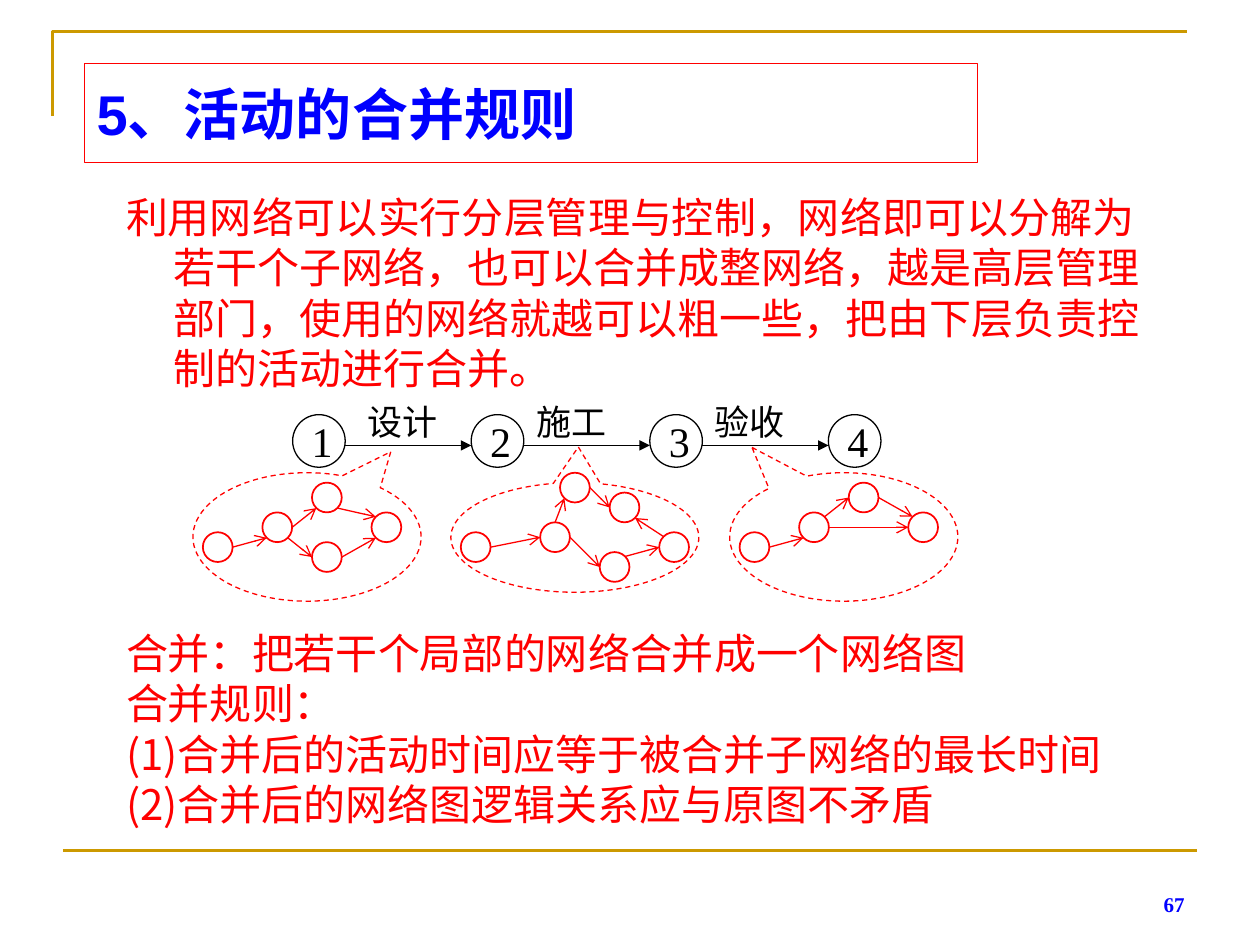
from dataclasses import dataclass

from lxml import etree
from pptx import Presentation
from pptx.dml.color import RGBColor
from pptx.enum.dml import MSO_LINE
from pptx.enum.shapes import MSO_CONNECTOR, MSO_SHAPE
from pptx.enum.text import MSO_ANCHOR, MSO_AUTO_SIZE, PP_ALIGN
from pptx.oxml.ns import qn
from pptx.util import Cm, Pt

OVAL = MSO_SHAPE.OVAL
CALLOUT = MSO_SHAPE.OVAL_CALLOUT
STRAIGHT = MSO_CONNECTOR.STRAIGHT
DASH = MSO_LINE.DASH
LEFT, RIGHT, CENTER = PP_ALIGN.LEFT, PP_ALIGN.RIGHT, PP_ALIGN.CENTER
TOP, MIDDLE, BOTTOM = MSO_ANCHOR.TOP, MSO_ANCHOR.MIDDLE, MSO_ANCHOR.BOTTOM
NO_FIT = MSO_AUTO_SIZE.NONE
TWO_CONTENT = 3


@dataclass(frozen=True)
class Theme:
    gold: RGBColor = RGBColor(0xCC, 0x99, 0x00)
    red: RGBColor = RGBColor(0xFF, 0x00, 0x00)
    blue: RGBColor = RGBColor(0x00, 0x00, 0xFF)
    black: RGBColor = RGBColor(0x00, 0x00, 0x00)
    white: RGBColor = RGBColor(0xFF, 0xFF, 0xFF)
    sans: str = "Arial"
    serif: str = "Times New Roman"
    chinese: str = "Noto Sans CJK SC"
    title: float = 32
    body: float = 24
    label: float = 20
    page: float = 12
    thin: float = 0.75
    ring: float = 1
    rule: float = 1.5


THEME = Theme()
NODE = 0.6
DIAGONAL = 0.3536
COMPASS = {
    "N": (0, -0.5), "E": (0.5, 0), "W": (-0.5, 0),
    "NE": (DIAGONAL, -DIAGONAL), "NW": (-DIAGONAL, -DIAGONAL),
    "SE": (DIAGONAL, DIAGONAL), "SW": (-DIAGONAL, DIAGONAL),
}

INTRO = ["利用网络可以实行分层管理与控制，网络即可以分解为若干个子网络，也可以合并成整网络，"
         "越是高层管理部门，使用的网络就越可以粗一些，把由下层负责控制的活动进行合并。"]
RULES = ["合并：把若干个局部的网络合并成一个网络图", "合并规则：",
         "(1)合并后的活动时间应等于被合并子网络的最长时间",
         "(2)合并后的网络图逻辑关系应与原图不矛盾"]
STAGES = [("设计", 1.26), ("施工", 1.06), ("验收", 1.06)]

SUBNETWORKS = [
    ((3.89, 9.53, 4.6, 2.59), (0.367, -0.663),
     {"start": (0.2, 1.2), "fork": (1.4, 0.8), "upper": (2.4, 0.2),
      "lower": (2.4, 1.4), "end": (3.6, 0.8)},
     ["start E fork SW", "fork E upper SW", "fork SE lower W",
      "upper SE end NW", "lower E end SW"]),
    ((9.09, 9.73, 5, 2.21), (0.014, -0.825),
     {"start": (0.2, 1), "fork": (1.8, 0.8), "upper": (2.2, -0.2),
      "merge": (3.2, 0.2), "lower": (3, 1.4), "end": (4.2, 1)},
     ["start E fork W", "fork N upper SW", "fork E lower W",
      "upper E merge W", "lower NE end W", "end NW merge SE"]),
    ((14.71, 9.53, 4.6, 2.59), (-0.402, -0.697),
     {"start": (0.2, 1.2), "fork": (1.4, 0.8), "upper": (2.4, 0.2), "end": (3.6, 0.8)},
     ["start E fork SW", "fork E end W", "fork NE upper W", "upper E end NW"]),
]


def write(frame, lines, *, size, color, font, bold=False, align=LEFT, anchor=TOP,
          wrap=True, insets=(0.25, 0.13, 0.25, 0.13), hanging=0, spacing=None):
    frame.auto_size = NO_FIT
    frame.word_wrap = wrap
    frame.vertical_anchor = anchor
    (frame.margin_left, frame.margin_top,
     frame.margin_right, frame.margin_bottom) = map(Cm, insets)
    for index, line in enumerate(lines):
        paragraph = frame.paragraphs[0] if index == 0 else frame.add_paragraph()
        paragraph.alignment = align
        paragraph.space_before = Pt(0)
        if spacing:
            paragraph.line_spacing = Pt(spacing)
        properties = paragraph._p.get_or_add_pPr()
        properties.set("marL", str(Cm(hanging)))
        properties.set("indent", str(-Cm(hanging)))
        etree.SubElement(properties, qn("a:buNone"))
        run = paragraph.add_run()
        run.text = line
        run.font.size = Pt(size)
        run.font.bold = bold
        run.font.color.rgb = color
        run.font.name = font
        east_asian = etree.SubElement(run._r.get_or_add_rPr(), qn("a:ea"))
        east_asian.set("typeface", THEME.chinese)


def place(shape, box):
    shape.left, shape.top, shape.width, shape.height = map(Cm, box)


def add_outline(slide, kind, box, color, width, fill=None):
    shape = slide.shapes.add_shape(kind, *map(Cm, box))
    shape.shadow.inherit = False
    if fill is None:
        shape.fill.background()
    else:
        shape.fill.solid()
        shape.fill.fore_color.rgb = fill
    shape.line.color.rgb = color
    shape.line.width = Pt(width)
    return shape


def add_line(slide, start, end, color, width, arrow=None):
    line = slide.shapes.add_connector(STRAIGHT, *map(Cm, (*start, *end)))
    line.line.color.rgb = color
    line.line.width = Pt(width)
    if arrow:
        etree.SubElement(line.line._get_or_add_ln(), qn("a:tailEnd")).set("type", arrow)
    etree.SubElement(line._element.spPr, qn("a:effectLst"))


def add_text(slide, box, text, **text_format):
    write(slide.shapes.add_textbox(*map(Cm, box)).text_frame, [text], **text_format)


def draw_frame(slide, box):
    left, top, width, height = box
    builder = slide.shapes.build_freeform(Cm(left), Cm(top + 1.7))
    builder.add_line_segments([(Cm(left), Cm(top)), (Cm(left + 22.86), Cm(top))], close=False)
    corner = builder.convert_to_shape()
    corner.shadow.inherit = False
    corner.fill.background()
    corner.line.color.rgb = THEME.gold
    corner.line.width = Pt(THEME.rule)
    right, bottom = left + width, top + height
    add_line(slide, (right - 22.86, bottom), (right, bottom), THEME.gold, THEME.rule)
    add_text(slide, (right - 5.92, bottom + 0.2, 5.92, 1.27), "67", size=THEME.page,
             color=THEME.blue, font=THEME.serif, bold=True, align=RIGHT, anchor=BOTTOM)


def fill_title(title, box):
    place(title, box)
    title.line.color.rgb = THEME.red
    title.line.width = Pt(THEME.thin)
    write(title.text_frame, ["5、活动的合并规则"], size=THEME.title, color=THEME.blue,
          font=THEME.sans, bold=True, anchor=MIDDLE, wrap=False)


def fill_body(body, box, lines):
    place(body, box)
    write(body.text_frame, lines, size=THEME.body, color=THEME.red, font=THEME.chinese,
          hanging=0.95, spacing=28.8)


def draw_stages(slide, box):
    left, top, width, height = box
    pitch = (width - height) / len(STAGES)
    for index in range(len(STAGES) + 1):
        circle = add_outline(slide, OVAL, (left + index * pitch, top, height, height),
                             THEME.black, THEME.thin, THEME.white)
        write(circle.text_frame, [str(index + 1)], size=THEME.body, color=THEME.black,
              font=THEME.serif, align=CENTER, anchor=MIDDLE, wrap=False,
              insets=(0.13, 0, 0, 0))
    for index, (stage, offset) in enumerate(STAGES):
        x, y = left + index * pitch, top + 0.62
        add_line(slide, (x + height, y), (x + pitch, y), THEME.black, THEME.thin, "triangle")
        add_text(slide, (x + offset, top - 0.44, 2.54, 1.12), stage, size=THEME.label,
                 color=THEME.black, font=THEME.serif, spacing=24.5)


def draw_subnetwork(slide, box, pointer, nodes, links):
    left, top = box[:2]
    for x, y in nodes.values():
        add_outline(slide, OVAL, (left + x, top + y, NODE, NODE), THEME.red, THEME.ring)

    def rim(node, side):
        return tuple(edge + at + NODE * (0.5 + shift) for edge, at, shift
                     in zip((left, top), nodes[node], COMPASS[side]))

    for link in links:
        source, leaving, target, entering = link.split()
        add_line(slide, rim(source, leaving), rim(target, entering),
                 THEME.red, THEME.thin, "arrow")
    callout = add_outline(slide, CALLOUT, box, THEME.red, THEME.thin)
    callout.line.dash_style = DASH
    callout.adjustments[0], callout.adjustments[1] = pointer


def main():
    deck = Presentation()
    deck.slide_width, deck.slide_height = Cm(25.4), Cm(19.05)
    slide = deck.slides.add_slide(deck.slide_layouts[TWO_CONTENT])
    title, intro, rules = slide.placeholders
    draw_frame(slide, (1.06, 0.64, 23.07, 16.51))
    fill_title(title, (1.7, 1.28, 18, 2))
    fill_body(intro, (2.29, 3.73, 21, 4.32), INTRO)
    fill_body(rules, (2.29, 12.52, 21, 4.32), RULES)
    draw_stages(slide, (5.9, 8.36, 11.86, 1.06))
    for subnetwork in SUBNETWORKS:
        draw_subnetwork(slide, *subnetwork)
    deck.save("out.pptx")


if __name__ == "__main__":
    main()
